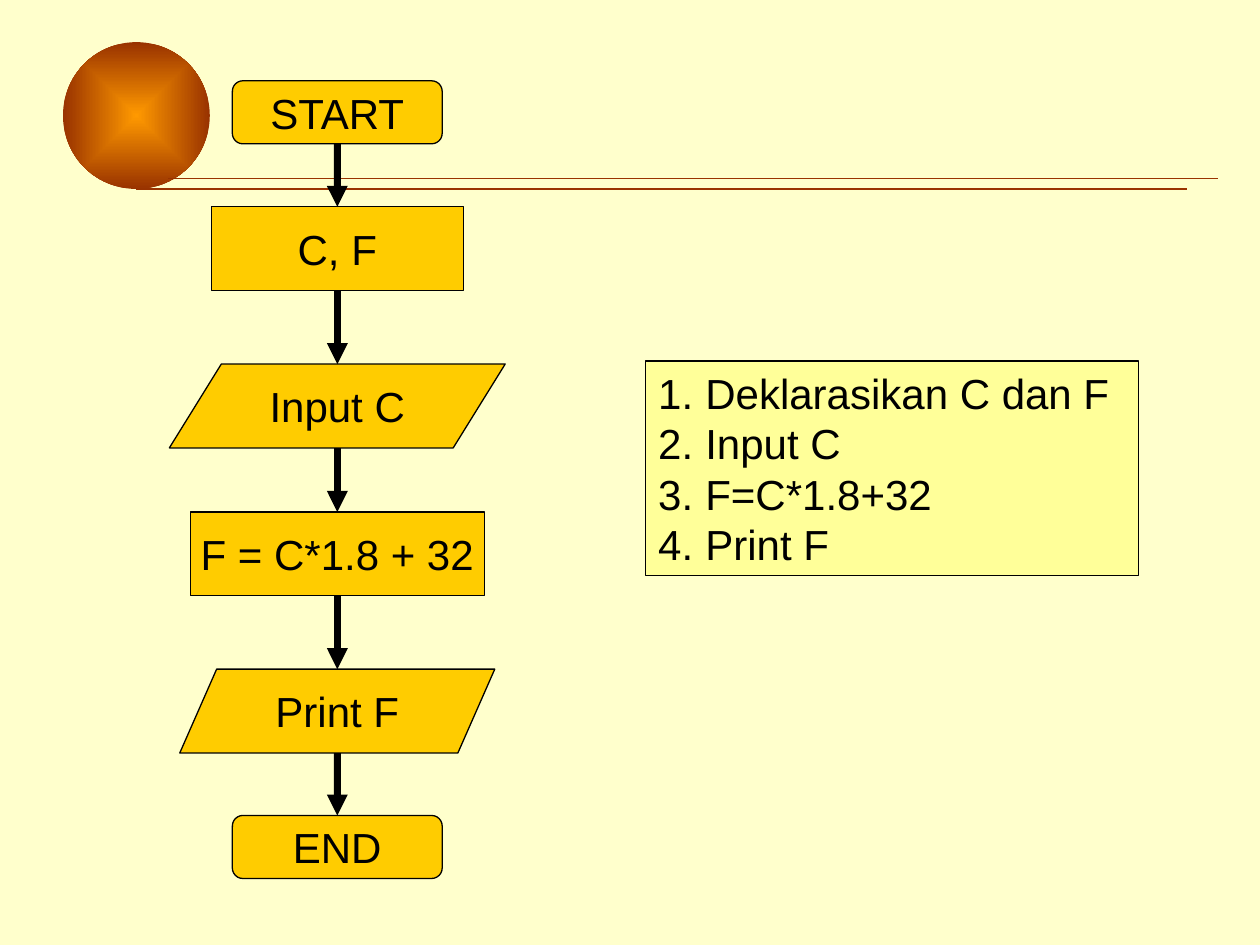
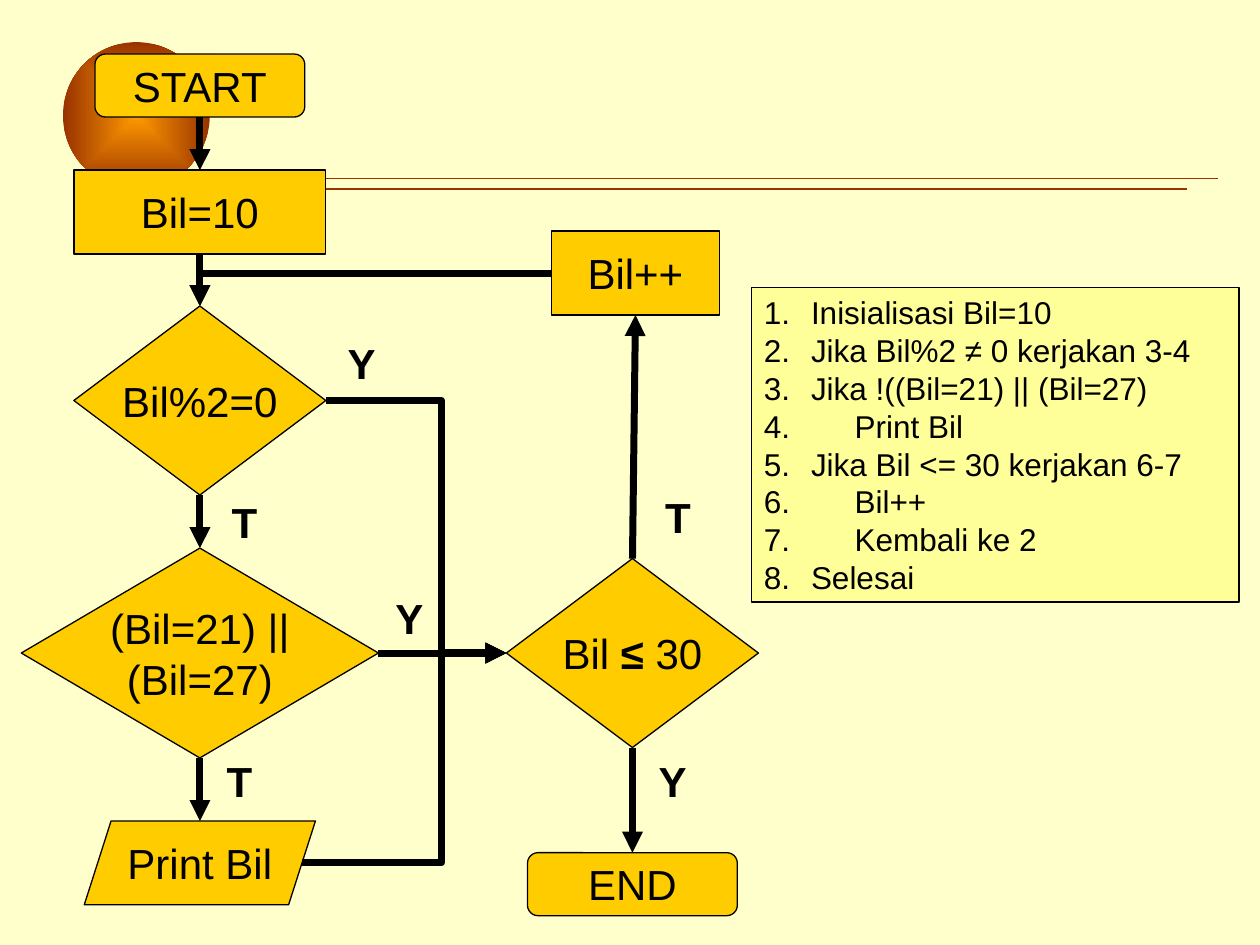
import itertools

import pptx
import pptx.dml.color
import pptx.enum.dml
import pptx.enum.shapes
import pptx.enum.text
import pptx.oxml
import pptx.oxml.ns
import pptx.util

Cm = pptx.util.Cm
Pt = pptx.util.Pt
SHAPE = pptx.enum.shapes.MSO_SHAPE
CONNECTOR = pptx.enum.shapes.MSO_CONNECTOR
ALIGN = pptx.enum.text.PP_ALIGN
ANCHOR = pptx.enum.text.MSO_ANCHOR

COLORS = {
    "background": "FFFFCC",
    "node": "FFCC00",
    "steps": "FFFF99",
    "ink": "000000",
    "accent": "993300",
    "glow": "FF9900",
}
FONT = "Arial"
BLANK_LAYOUT = 6
TERMINAL_SIZE = (4.23, 1.27)
BOX_HEIGHT = 1.69
STEP_INDENT = 0.95
NESTED_INDENT = 1.83


def rgb(name):
    return pptx.dml.color.RGBColor.from_string(COLORS[name])


def add_xml(parent, tag, **attributes):
    child = pptx.oxml.parse_xml(f"<a:{tag} {pptx.oxml.ns.nsdecls('a')}/>")
    for key, value in attributes.items():
        child.set(key, str(value))
    parent.append(child)
    return child


# Text and basic shapes
def style_text(frame, size=24, bold=False):
    for paragraph in frame.paragraphs:
        for run in paragraph.runs:
            run.font.name = FONT
            run.font.size = Pt(size)
            run.font.bold = bold
            run.font.color.rgb = rgb("ink")


def add_filled(slide, kind, left, top, width, height, color):
    shape = slide.shapes.add_shape(kind, Cm(left), Cm(top), Cm(width), Cm(height))
    shape.shadow.inherit = False
    shape.fill.solid()
    shape.fill.fore_color.rgb = rgb(color)
    shape.line.color.rgb = rgb("ink")
    shape.line.width = Pt(0.75)
    return shape


def add_line(slide, start, end, color, width, kind=CONNECTOR.STRAIGHT):
    line = slide.shapes.add_connector(kind, *start, *end)
    line.line.color.rgb = rgb(color)
    line.line.width = Pt(width)
    add_xml(line._element.spPr, "effectLst")
    return line


# Flowchart parts
def add_node(slide, kind, center, top, width, height, text, slant=None):
    node = add_filled(slide, kind, center - width / 2, top, width, height, "node")
    if slant is not None:
        node.adjustments[0] = slant
    frame = node.text_frame
    frame.word_wrap = False
    frame.vertical_anchor = ANCHOR.MIDDLE
    frame.text = text
    for paragraph in frame.paragraphs:
        paragraph.alignment = ALIGN.CENTER
    style_text(frame)
    return node


def add_terminal(slide, center, top, text):
    return add_node(slide, SHAPE.ROUNDED_RECTANGLE, center, top, *TERMINAL_SIZE, text)


def add_process(slide, center, top, width, text):
    return add_node(slide, SHAPE.RECTANGLE, center, top, width, BOX_HEIGHT, text)


def add_data(slide, center, top, width, text, slant):
    return add_node(slide, SHAPE.PARALLELOGRAM, center, top, width, BOX_HEIGHT, text, slant)


def add_decision(slide, center, top, width, height, text):
    return add_node(slide, SHAPE.DIAMOND, center, top, width, height, text)


def edge(node, side):
    """Return the middle of one side of a node."""
    x, y = node.left + node.width // 2, node.top + node.height // 2
    inset = 0
    if node.auto_shape_type == SHAPE.PARALLELOGRAM:
        inset = int(node.adjustments[0] * node.height / 2)
    return {
        "top": (x, node.top),
        "bottom": (x, node.top + node.height),
        "left": (node.left + inset, y),
        "right": (node.left + node.width - inset, y),
    }[side]


def add_arrow(slide, start, end, kind=CONNECTOR.STRAIGHT):
    arrow = add_line(slide, start, end, "ink", 4, kind)
    add_xml(arrow.line._get_or_add_ln(), "tailEnd", type="triangle")
    return arrow


def add_bent_arrow(slide, start, end, turn_x=None):
    """Turn at turn_x on the way, or once at the far end when it is left out."""
    arrow = add_arrow(slide, start, end, CONNECTOR.ELBOW)
    geometry = arrow._element.spPr.find(pptx.oxml.ns.qn("a:prstGeom"))
    if turn_x is None:
        geometry.set("prst", "bentConnector2")
        return
    guides = geometry.find(pptx.oxml.ns.qn("a:avLst"))
    if guides is None:
        guides = add_xml(geometry, "avLst")
    turn = round((turn_x - start[0]) / (end[0] - start[0]) * 100000)
    add_xml(guides, "gd", name="adj1", fmla=f"val {turn}")


def chain(slide, nodes):
    for upper, lower in itertools.pairwise(nodes):
        add_arrow(slide, edge(upper, "bottom"), edge(lower, "top"))


def add_branch_label(slide, left, top, text):
    label = slide.shapes.add_textbox(Cm(left), Cm(top), Cm(1.05), Cm(1.27))
    label.text_frame.word_wrap = False
    label.text_frame.text = text
    style_text(label.text_frame, bold=True)


def add_steps(slide, left, top, width, height, steps, size, nested=()):
    panel = add_filled(slide, SHAPE.RECTANGLE, left, top, width, height, "steps")
    frame = panel.text_frame
    frame.word_wrap = True
    frame.vertical_anchor = ANCHOR.TOP
    frame.text = "\n".join(steps)
    style_text(frame, size)
    for number, paragraph in enumerate(frame.paragraphs, 1):
        paragraph.alignment = ALIGN.LEFT
        indent = Cm(NESTED_INDENT if number in nested else STEP_INDENT)
        properties = paragraph._p.get_or_add_pPr()
        properties.set("marL", str(indent))
        properties.set("indent", str(-indent))
        add_xml(properties, "buAutoNum", type="arabicPeriod")


# Shared decoration: glowing ball and two rules
def add_decorated_slide(deck):
    slide = deck.slides.add_slide(deck.slide_layouts[BLANK_LAYOUT])
    ball = add_filled(slide, SHAPE.OVAL, 1.27, 0.85, 2.96, 2.96, "accent")
    ball.line.fill.background()
    ball.fill.gradient()
    for stop, color in zip(ball.fill.gradient_stops, ("glow", "accent")):
        stop.color.rgb = rgb(color)
    gradient = ball._element.spPr.find(pptx.oxml.ns.qn("a:gradFill"))
    gradient.remove(gradient.find(pptx.oxml.ns.qn("a:lin")))
    shade = add_xml(gradient, "path", path="rect")
    add_xml(shade, "fillToRect", l=50000, t=50000, r=50000, b=50000)
    for left, right, y in ((2.75, 23.92, 3.81), (3.39, 24.55, 3.6)):
        add_line(slide, (Cm(left), Cm(y)), (Cm(right), Cm(y)), "accent", 0.75)
    return slide


def build_temperature_slide(deck):
    slide = add_decorated_slide(deck)
    center = 6.8
    chain(slide, [
        add_terminal(slide, center, 1.63, "START"),
        add_process(slide, center, 4.17, 5.08, "C, F"),
        add_data(slide, center, 7.34, 6.77, "Input C", 0.62),
        add_process(slide, center, 10.32, 5.93, "F = C*1.8 + 32"),
        add_data(slide, center, 13.49, 6.35, "Print F", 0.44),
        add_terminal(slide, center, 16.44, "END"),
    ])
    steps = ["Deklarasikan C dan F", "Input C", "F=C*1.8+32", "Print F"]
    add_steps(slide, 13.02, 7.28, 9.93, 4.32, steps, 24)


def build_odd_numbers_slide(deck):
    slide = add_decorated_slide(deck)
    main_x, loop_x = 4.03, 12.75

    # Nodes
    start = add_terminal(slide, main_x, 1.09, "START")
    initial = add_process(slide, main_x, 3.43, 5.08, "Bil=10")
    even = add_decision(slide, main_x, 6.17, 5.08, 3.81, "Bil%2=0")
    skipped = add_decision(slide, main_x, 11.05, 7.2, 4.23, "(Bil=21) ||\n(Bil=27)")
    output = add_data(slide, main_x, 16.55, 4.66, "Print Bil", 0.32)
    increment = add_process(slide, 12.81, 4.66, 3.39, "Bil++")
    limit = add_decision(slide, loop_x, 11.26, 5.08, 3.81, "Bil ")
    end = add_terminal(slide, loop_x, 17.19, "END")

    # The comparison sign stands out in bold
    comparison = limit.text_frame.paragraphs[0]
    for piece in ("≤", " 30"):
        comparison.add_run().text = piece
    style_text(limit.text_frame)
    comparison.runs[1].font.bold = True

    # Flow
    chain(slide, [start, initial, even, skipped, output])
    chain(slide, [limit, end])
    add_arrow(slide, edge(limit, "top"), edge(increment, "bottom"))
    add_arrow(slide, edge(skipped, "right"), edge(limit, "left"))
    for source in (output, even):
        add_bent_arrow(slide, edge(source, "right"), edge(limit, "left"), Cm(8.9))
    add_bent_arrow(slide, edge(increment, "left"), edge(even, "top"))

    # Branch labels
    for left, top, text in (
        (6.76, 6.68, "Y"), (4.42, 9.88, "T"), (7.72, 11.81, "Y"),
        (4.32, 15.11, "T"), (13.16, 9.78, "T"), (13.03, 15.11, "Y"),
    ):
        add_branch_label(slide, left, top, text)

    steps = [
        "Inisialisasi Bil=10",
        "Jika Bil%2 ≠ 0 kerjakan 3-4",
        "Jika !((Bil=21) || (Bil=27)",
        "Print Bil",
        "Jika Bil <= 30 kerjakan 6-7",
        "Bil++",
        "Kembali ke 2",
        "Selesai",
    ]
    add_steps(slide, 15.15, 5.79, 9.83, 6.35, steps, 18, nested=(4, 6, 7))


def main():
    deck = pptx.Presentation()
    deck.slide_width, deck.slide_height = Cm(25.4), Cm(19.05)
    backdrop = deck.slide_master.background.fill
    backdrop.solid()
    backdrop.fore_color.rgb = rgb("background")
    build_temperature_slide(deck)
    build_odd_numbers_slide(deck)
    deck.save("out.pptx")


if __name__ == "__main__":
    main()
